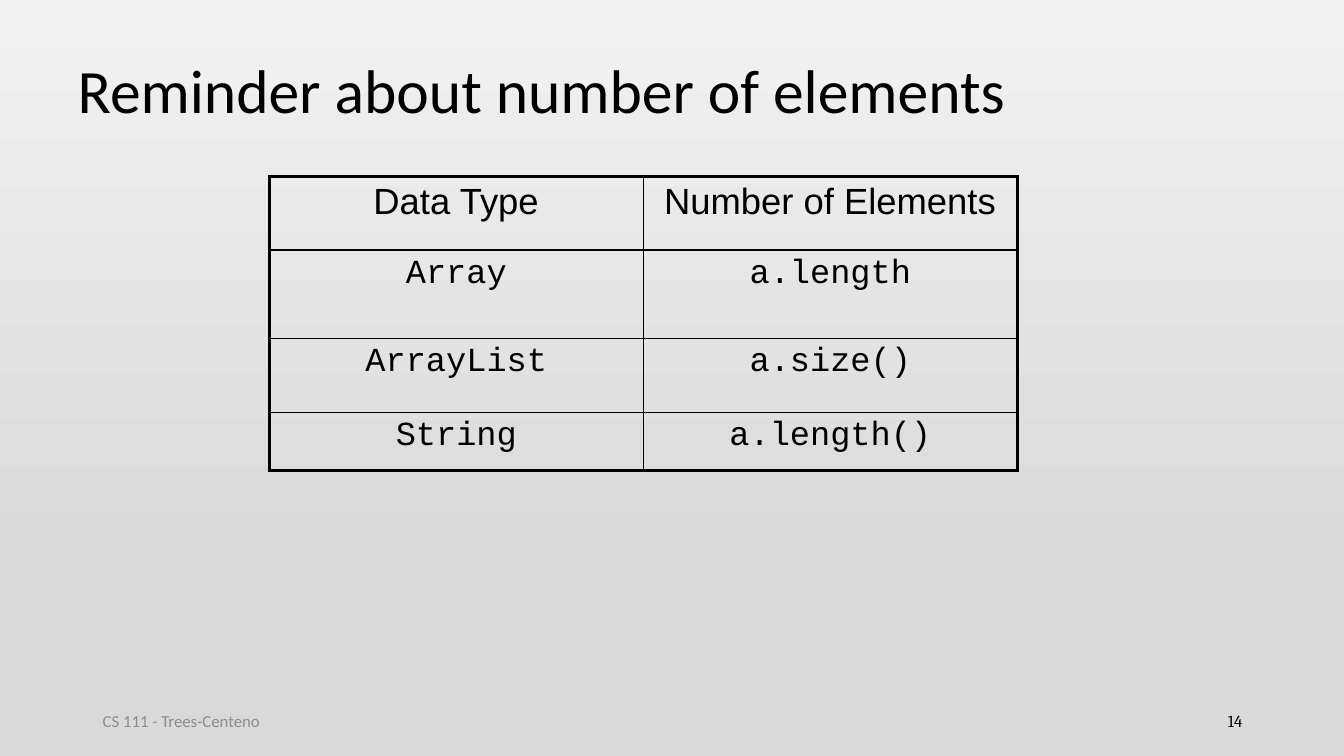
from lxml.etree import SubElement
from pptx import Presentation
from pptx.dml.color import RGBColor
from pptx.enum.text import MSO_ANCHOR as Anchor, PP_ALIGN as Align
from pptx.oxml.ns import qn
from pptx.util import Inches, Pt

BLACK = RGBColor(0x00, 0x00, 0x00)
GRAY = RGBColor(0x8C, 0x8C, 0x8C)
LIGHT = RGBColor(0xF2, 0xF2, 0xF2)
SHADE = RGBColor(0xD9, 0xD9, 0xD9)

WIDTH, HEIGHT = Inches(13.33), Inches(7.5)
THIN, THICK = Pt(1), Pt(2.25)
COLUMN_WIDTH = 3.71
ROW_HEIGHTS = (0.73, 0.88, 0.73, 0.58)
ROWS = (
    ("Data Type", "Number of Elements"),
    ("Array", "a.length"),
    ("ArrayList", "a.size()"),
    ("String", "a.length()"),
)


def write(frame, text, size, font, color=BLACK, align=Align.LEFT,
          anchor=Anchor.MIDDLE, line_spacing=None):
    """Fill a text frame with one formatted paragraph."""
    frame.word_wrap = True
    frame.vertical_anchor = anchor
    paragraph = frame.paragraphs[0]
    paragraph.alignment = align
    paragraph.line_spacing = line_spacing
    run = paragraph.add_run()
    run.text = text
    run.font.size = Pt(size)
    run.font.name = font
    run.font.bold = False
    run.font.color.rgb = color


def paint_background(slide):
    """Shade the slide from light at the top to gray below."""
    fill = slide.background.fill
    fill.gradient()
    fill.gradient_angle = 270
    for stop, color, position in zip(fill.gradient_stops, (LIGHT, SHADE), (0, 0.74)):
        stop.color.rgb = color
        stop.position = position


def add_title(slide, text):
    """Place and fill the title placeholder."""
    title = slide.shapes.title
    title.left, title.top = Inches(0.67), Inches(0.3)
    title.width, title.height = Inches(12), Inches(1.25)
    write(title.text_frame, text, 44, "Calibri", line_spacing=0.9)


def add_footer(slide, left, text, font, **text_format):
    """Add a small text box on the footer line."""
    box = slide.shapes.add_textbox(Inches(left), Inches(6.95), Inches(3), Inches(0.4))
    write(box.text_frame, text, 12, font, **text_format)


def add_borders(cell, widths):
    """Draw black borders of the given widths around a cell."""
    properties = cell._tc.get_or_add_tcPr()
    for side, width in widths.items():
        line = SubElement(properties, qn(f"a:ln{side}"), w=str(width))
        fill = SubElement(line, qn("a:solidFill"))
        SubElement(fill, qn("a:srgbClr"), val=str(BLACK))


def add_length_table(slide):
    """Add the table of data types with a thick outer frame."""
    last_row, last_column = len(ROWS) - 1, len(ROWS[0]) - 1
    table = slide.shapes.add_table(
        len(ROWS), len(ROWS[0]), Inches(2.67), Inches(1.75),
        Inches(COLUMN_WIDTH * len(ROWS[0])), Inches(sum(ROW_HEIGHTS))).table
    table.first_row = table.horz_banding = False
    for column in table.columns:
        column.width = Inches(COLUMN_WIDTH)
    for i, (texts, height) in enumerate(zip(ROWS, ROW_HEIGHTS)):
        table.rows[i].height = Inches(height)
        size, font = (24, "Courier New") if i else (26, "Arial")
        for j, text in enumerate(texts):
            cell = table.cell(i, j)
            add_borders(cell, {
                "L": THIN if j else THICK,
                "R": THICK if j == last_column else THIN,
                "T": THIN if i else THICK,
                "B": THICK if i == last_row else THIN,
            })
            cell.fill.background()
            write(cell.text_frame, text, size, font,
                  align=Align.CENTER, anchor=Anchor.TOP)


def main():
    """Build the slide and save it."""
    presentation = Presentation()
    presentation.slide_width, presentation.slide_height = WIDTH, HEIGHT
    slide = presentation.slides.add_slide(presentation.slide_layouts[5])
    paint_background(slide)
    add_footer(slide, 0.92, "CS 111 - Trees-Centeno", "Calibri", color=GRAY)
    add_footer(slide, 9.42, "14", "Cambria", align=Align.RIGHT)
    add_title(slide, "Reminder about number of elements")
    add_length_table(slide)
    presentation.save("out.pptx")


main()
